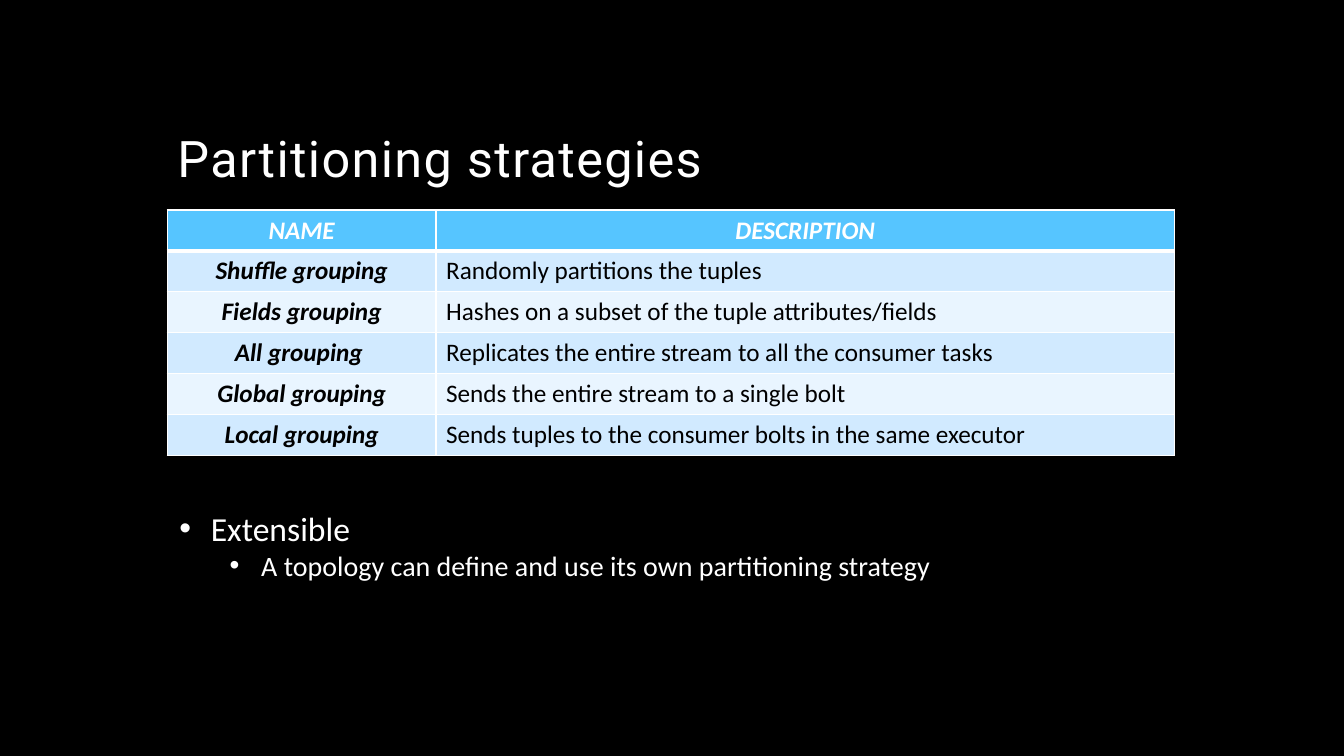
"""Build the slide on partitioning strategies."""
from lxml.etree import SubElement as Sub
from pptx import Presentation
from pptx.dml.color import RGBColor as Rgb
from pptx.enum.text import MSO_ANCHOR as Anchor, PP_ALIGN as Align
from pptx.oxml.ns import qn
from pptx.util import Pt

TITLE = "Partitioning strategies"
ROWS = [
    ("NAME", "DESCRIPTION"),
    ("Shuffle grouping", "Randomly partitions the tuples"),
    ("Fields grouping", "Hashes on a subset of the tuple attributes/fields"),
    ("All grouping ", "Replicates the entire stream to all the consumer tasks"),
    ("Global grouping", "Sends the entire stream to a single bolt"),
    ("Local grouping", "Sends tuples to the consumer bolts in the same executor"),
]
NOTES = [
    ("Extensible", 24, 22.5),
    ("A topology can define and use its own partitioning strategy", 20, 58.5),
]
HUES = {"back": "000000", "text": "FFFFFF", "ink": "000000",
        "head": "56C5FF", "odd": "D1EAFF", "even": "E9F5FF"}
LEFT = 119.5
WIDTHS = (192, 527.3)
ROW = 29.2
HANG = 22.5


def hue(name):
    return Rgb.from_string(HUES[name])


def style(para, size, tint, face="Calibri", bold=False, slant=False):
    font = para.font
    font.name, font.size = face, Pt(size)
    font.bold, font.italic = bold, slant
    font.color.rgb = hue(tint)


def edge(cell, side, width):
    line = Sub(cell._tc.get_or_add_tcPr(), qn("a:ln" + side), w=str(Pt(width)))
    fill = Sub(line, qn("a:solidFill"))
    Sub(fill, qn("a:srgbClr"), val=HUES["text"])


def add_title(slide):
    title = slide.shapes.title
    title.left, title.top = Pt(LEFT), Pt(30)
    title.width, title.height = Pt(720), Pt(108)
    frame = title.text_frame
    frame.vertical_anchor = Anchor.BOTTOM
    frame.word_wrap = True
    para = frame.paragraphs[0]
    run = para.add_run()
    run.text = TITLE
    run._r.get_or_add_rPr().set("spc", "100")
    para.alignment, para.line_spacing = Align.LEFT, 0.9
    style(para, 36, "text", "Roboto")


def add_grid(slide):
    grid = slide.shapes.add_table(
        len(ROWS), len(WIDTHS), Pt(LEFT), Pt(150),
        Pt(sum(WIDTHS)), Pt(ROW * len(ROWS))).table
    for col, width in zip(grid.columns, WIDTHS):
        col.width = Pt(width)
    for r, texts in enumerate(ROWS):
        grid.rows[r].height = Pt(ROW)
        head = r == 0
        band = "head" if head else "odd" if r % 2 else "even"
        for c, text in enumerate(texts):
            cell = grid.cell(r, c)
            for side in "LRTB":
                thick = (r, side) in ((0, "B"), (1, "T"))
                edge(cell, side, 3 if thick else 1)
            cell.fill.solid()
            cell.fill.fore_color.rgb = hue(band)
            cell.text = text
            para = cell.text_frame.paragraphs[0]
            strong = head or c == 0
            para.alignment = Align.CENTER if strong else Align.LEFT
            style(para, 18, "text" if head else "ink", bold=strong, slant=strong)


def add_notes(slide):
    box = slide.shapes.add_textbox(Pt(121), Pt(359.3), Pt(639.4), Pt(82))
    frame = box.text_frame
    frame.word_wrap = True
    for n, (text, size, indent) in enumerate(NOTES):
        para = frame.add_paragraph() if n else frame.paragraphs[0]
        para.text, para.level = text, n
        props = para._p.get_or_add_pPr()
        props.set("marL", str(Pt(indent)))
        props.set("indent", str(-Pt(HANG)))
        Sub(props, qn("a:buFont"), typeface="Arial")
        Sub(props, qn("a:buChar"), char="•")
        style(para, size, "text")


def main():
    deck = Presentation()
    deck.slide_width, deck.slide_height = Pt(960), Pt(540)
    slide = deck.slides.add_slide(deck.slide_layouts[5])
    slide.background.fill.solid()
    slide.background.fill.fore_color.rgb = hue("back")
    add_title(slide)
    add_grid(slide)
    add_notes(slide)
    deck.save("out.pptx")


if __name__ == "__main__":
    main()
